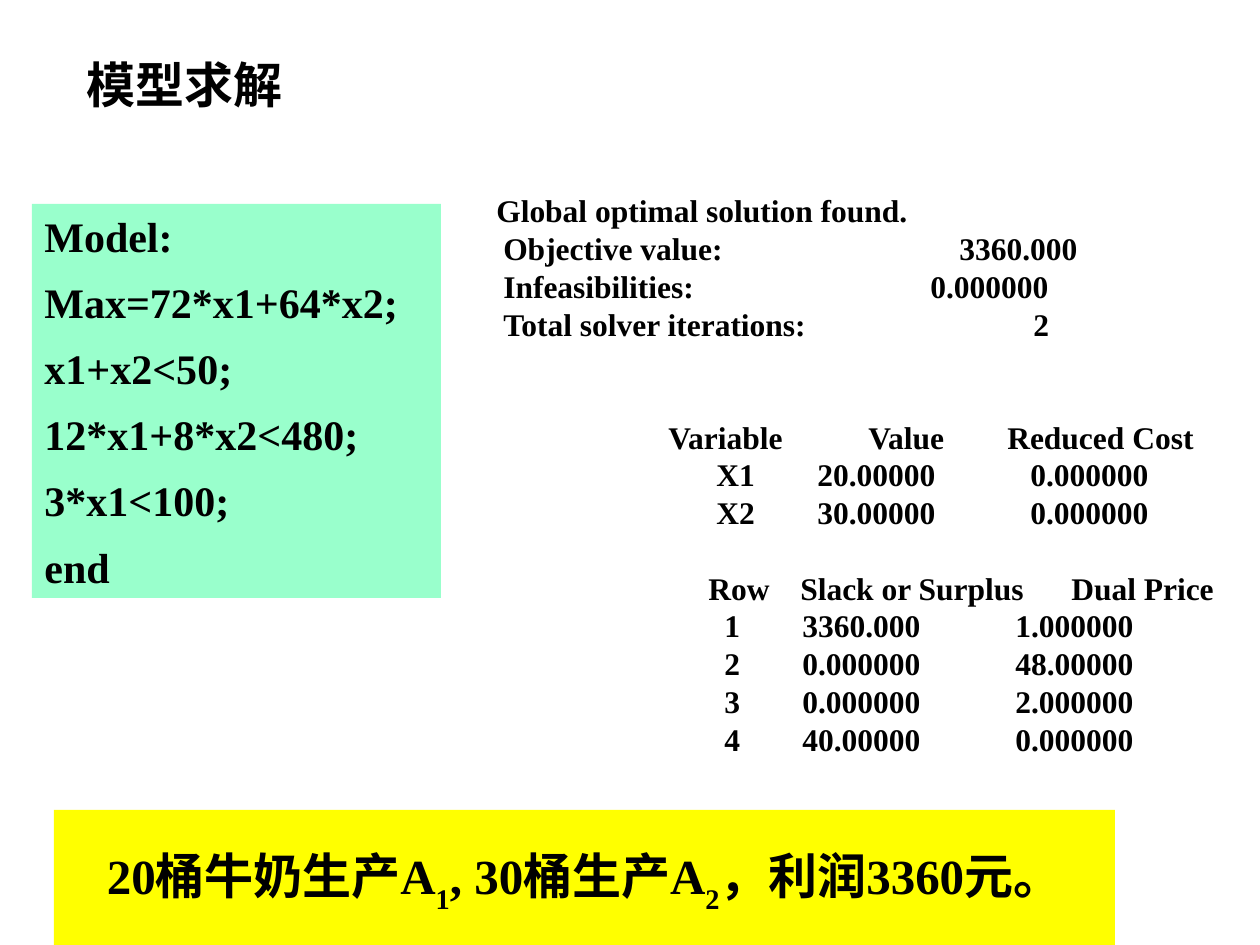
from pptx import Presentation
from pptx.dml.color import RGBColor
from pptx.enum.shapes import MSO_SHAPE
from pptx.enum.text import MSO_ANCHOR, PP_ALIGN
from pptx.oxml.ns import qn
from pptx.util import Emu, Pt
from lxml.etree import SubElement

PX = 914400 // 126
COLORS = {"text": "000000", "model": "99FFCC", "report": "FFFFFF", "result": "FFFF00"}
LATIN, CHINESE = "Times New Roman", "Noto Sans CJK SC"


def add_box(left, top, width, height, color, anchor):
    shape = slide.shapes.add_shape(
        MSO_SHAPE.RECTANGLE, *(Emu(value * PX) for value in (left, top, width, height)))
    shape.shadow.inherit = False
    shape.fill.solid()
    shape.fill.fore_color.rgb = RGBColor.from_string(COLORS[color])
    shape.line.fill.background()
    shape.text_frame.word_wrap = True
    shape.text_frame.vertical_anchor = anchor
    return shape.text_frame


def style_runs(paragraph, size, font_name=LATIN):
    for run in paragraph.runs:
        run.font.size = Pt(size)
        run.font.bold = True
        run.font.name = font_name
        run.font.color.rgb = RGBColor.from_string(COLORS["text"])
        SubElement(run.font._element, qn("a:ea"), typeface=CHINESE)


presentation = Presentation()
presentation.slide_width = Emu(1260 * PX)
presentation.slide_height = Emu(945 * PX)
slide = presentation.slides.add_slide(presentation.slide_layouts[5])

# Title
title = slide.shapes.title
title.left, title.top, title.width, title.height = (
    Emu(value * PX) for value in (74, 42, 431, 84))
title.text_frame.text = "模型求解"
title.text_frame.vertical_anchor = MSO_ANCHOR.MIDDLE
title.text_frame.paragraphs[0].alignment = PP_ALIGN.LEFT
style_runs(title.text_frame.paragraphs[0], 28, CHINESE)

# Model code
model = add_box(32, 204, 409, 394, "model", MSO_ANCHOR.MIDDLE)
model.text = "Model:\nMax=72*x1+64*x2;\nx1+x2<50;\n12*x1+8*x2<480;\n3*x1<100;\nend"
for index, paragraph in enumerate(model.paragraphs):
    paragraph.alignment = PP_ALIGN.LEFT
    paragraph.space_before = Pt(9 if index else 0)
    style_runs(paragraph, 24)

# Solver report: column positions on the slide, space before, cells
report_left, inset = 476, 13
variable_columns = (717, 818, 1031)
row_columns = (725, 803, 1016)
report_lines = [
    ((497,), 0, ["Global optimal solution found."]),
    ((504, 960), 0, ["Objective value:", "3360.000"]),
    ((504, 931), 0, ["Infeasibilities:", "0.000000"]),
    ((504, 1034), 0, ["Total solver iterations:", "2"]),
    ((669, 869, 1008), 43, ["Variable", "Value", "Reduced Cost"]),
    (variable_columns, 0, ["X1", "20.00000", "0.000000"]),
    (variable_columns, 0, ["X2", "30.00000", "0.000000"]),
    ((709, 801, 1072), 21.5, ["Row", "Slack or Surplus", "Dual Price"]),
    (row_columns, 0, ["1", "3360.000", "1.000000"]),
    (row_columns, 0, ["2", "0.000000", "48.00000"]),
    (row_columns, 0, ["3", "0.000000", "2.000000"]),
    (row_columns, 0, ["4", "40.00000", "0.000000"]),
]
report = add_box(report_left, 185, 784, 580, "report", MSO_ANCHOR.TOP)
report.text = "\n".join("\t" + "\t".join(cells) for _, _, cells in report_lines)
for paragraph, (columns, space, _) in zip(report.paragraphs, report_lines):
    paragraph.alignment = PP_ALIGN.LEFT
    paragraph.space_before = Pt(space)
    tabs = SubElement(paragraph._p.get_or_add_pPr(), qn("a:tabLst"))
    for column in columns:
        position = (column - report_left - inset) * PX
        SubElement(tabs, qn("a:tab"), pos=str(position), algn="l")
    style_runs(paragraph, 18)

# Result with subscripts
result = add_box(54, 810, 1061, 141, "result", MSO_ANCHOR.MIDDLE)
paragraph = result.paragraphs[0]
paragraph.alignment = PP_ALIGN.CENTER
for text in ("20桶牛奶生产A", "1", ", 30桶生产A", "2", "，利润3360元。"):
    run = paragraph.add_run()
    run.text = text
    if text in ("1", "2"):
        run.font._element.set("baseline", "-30000")
style_runs(paragraph, 28)

presentation.save("out.pptx")
